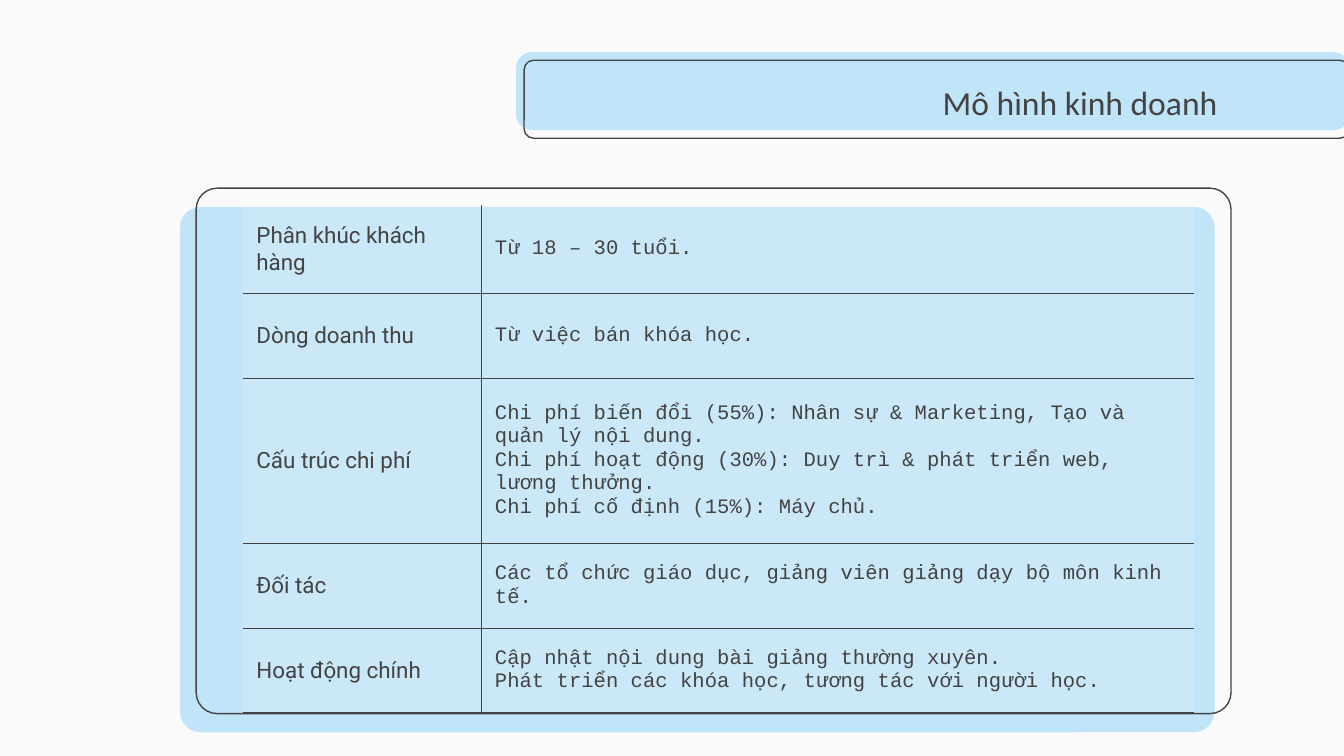
from dataclasses import dataclass
from typing import Any, Optional

from lxml.etree import SubElement
from pptx import Presentation
from pptx.dml.color import RGBColor
from pptx.enum.shapes import MSO_SHAPE
from pptx.enum.text import MSO_ANCHOR, MSO_AUTO_SIZE, PP_ALIGN
from pptx.oxml import parse_xml
from pptx.oxml.ns import nsdecls, qn
from pptx.util import Inches, Pt

WIDTH = Inches(10)
HEIGHT = WIDTH * 9 // 16
PAPER = RGBColor(0xFA, 0xFA, 0xFA)
SKY = RGBColor(0xC1, 0xE5, 0xF8)
INK = RGBColor(0x43, 0x43, 0x43)
LINE_WIDTH = Pt(0.75)
CELL_OPACITY = 18
CELL_FORMAT = {
    "vertical_anchor": MSO_ANCHOR.MIDDLE,
    **dict.fromkeys(("margin_left", "margin_right", "margin_top", "margin_bottom"), Inches(0.1)),
}
TITLE_FORMAT = {**CELL_FORMAT, "word_wrap": True, "auto_size": MSO_AUTO_SIZE.NONE}
TITLE_FONT = {"name": "Calibri", "size": Pt(18), "bold": False}
LABEL_FONT = {"name": "Roboto", "size": Pt(12), "bold": False}
DETAIL_FONT = {"name": "Courier New", "size": Pt(11), "bold": False}


@dataclass(frozen=True)
class Box:
    """A place in percent of the slide's width and height."""
    left: float
    top: float
    width: float
    height: float

    def lengths(self) -> tuple[int, int, int, int]:
        return (across(self.left), down(self.top), across(self.width), down(self.height))


@dataclass(frozen=True)
class Panel:
    box: Box
    corner: float
    fill: Optional[RGBColor] = None


@dataclass(frozen=True)
class Topic:
    label: str
    details: tuple[str, ...]
    height: float = 11.2


TITLE_BOX = Box(56.7, 8.8, 34.9, 9.42)
TABLE_BOX = Box(18.08, 27.1, 70.75, 67.2)
COLUMN_WIDTHS = (17.75, 53)
PANELS = (
    Panel(Box(38.4, 6.9, 62, 10.31), 0.2, SKY),
    Panel(Box(39, 7.97, 61.4, 10.31), 0.12),
    Panel(Box(13.38, 27.36, 77, 69.51), 0.04, SKY),
    Panel(Box(14.6, 24.89, 77, 69.51), 0.04),
)
TOPICS = (
    Topic("Phân khúc khách hàng", ("Từ 18 – 30 tuổi.",), 11.73),
    Topic("Dòng doanh thu", ("Từ việc bán khóa học.",)),
    Topic("Cấu trúc chi phí", (
        "Chi phí biến đổi (55%): Nhân sự & Marketing, Tạo và quản lý nội dung.",
        "Chi phí hoạt động (30%): Duy trì & phát triển web, lương thưởng.",
        "Chi phí cố định (15%): Máy chủ.",
    ), 21.87),
    Topic("Đối tác", ("Các tổ chức giáo dục, giảng viên giảng dạy bộ môn kinh tế.",)),
    Topic("Hoạt động chính", (
        "Cập nhật nội dung bài giảng thường xuyên.\n"
        "Phát triển các khóa học, tương tác với người học.",
    )),
)


def across(percent: float) -> int:
    return round(WIDTH * percent / 100)


def down(percent: float) -> int:
    return round(HEIGHT * percent / 100)


def apply_format(target: Any, values: dict[str, Any]) -> None:
    for name, value in values.items():
        setattr(target, name, value)


def write_paragraphs(frame: Any, texts: tuple[str, ...], font: dict[str, Any],
                     alignment: PP_ALIGN = PP_ALIGN.LEFT) -> None:
    for index, text in enumerate(texts):
        paragraph = frame.add_paragraph() if index else frame.paragraphs[0]
        paragraph.text = text
        paragraph.alignment = alignment
        for run in paragraph.runs:
            apply_format(run.font, font)
            run.font.color.rgb = INK


def draw_panel(slide: Any, panel: Panel) -> None:
    shape = slide.shapes.add_shape(MSO_SHAPE.ROUNDED_RECTANGLE, *panel.box.lengths())
    shape.shadow.inherit = False
    shape.adjustments[0] = panel.corner
    if panel.fill is None:
        shape.fill.background()
        shape.line.color.rgb = INK
        shape.line.width = LINE_WIDTH
    else:
        shape.fill.solid()
        shape.fill.fore_color.rgb = panel.fill
        shape.line.fill.background()


def style_cell(cell: Any, ruled_sides: str) -> None:
    """Give a translucent fill, and rules on the sides named by L, R, T and B."""
    apply_format(cell, CELL_FORMAT)
    cell.fill.solid()
    cell.fill.fore_color.rgb = PAPER
    properties = cell._tc.get_or_add_tcPr()
    color = properties.find(".//" + qn("a:srgbClr"))
    SubElement(color, qn("a:alpha"), val=str(CELL_OPACITY * 1000))
    for index, side in enumerate("LRTB"):
        paint = (f'<a:solidFill><a:srgbClr val="{INK}"/></a:solidFill>'
                 if side in ruled_sides else "<a:noFill/>")
        properties.insert(index, parse_xml(
            f'<a:ln{side} {nsdecls("a")} w="{LINE_WIDTH}">{paint}</a:ln{side}>'))


def draw_table(slide: Any, topics: tuple[Topic, ...]) -> None:
    frame = slide.shapes.add_table(len(topics), len(COLUMN_WIDTHS), *TABLE_BOX.lengths())
    table = frame.table
    apply_format(table, {"first_row": False, "horz_banding": False})
    for column, width in zip(table.columns, COLUMN_WIDTHS):
        column.width = across(width)
    for index, (row, topic) in enumerate(zip(table.rows, topics)):
        row.height = down(topic.height)
        horizontal = "TB" if index else "B"
        label, detail = row.cells
        write_paragraphs(label.text_frame, (topic.label,), LABEL_FONT)
        write_paragraphs(detail.text_frame, topic.details, DETAIL_FONT)
        style_cell(label, "R" + horizontal)
        style_cell(detail, "L" + horizontal)


def place_title(slide: Any, text: str) -> None:
    """Fill the title placeholder and bring it in front of the panels."""
    title = slide.shapes.title
    title.left, title.top, title.width, title.height = TITLE_BOX.lengths()
    apply_format(title.text_frame, TITLE_FORMAT)
    write_paragraphs(title.text_frame, (text,), TITLE_FONT, PP_ALIGN.RIGHT)
    slide.shapes._spTree.append(title._element)


def main() -> None:
    presentation = Presentation()
    presentation.slide_width, presentation.slide_height = WIDTH, HEIGHT
    slide = presentation.slides.add_slide(presentation.slide_layouts.get_by_name("Title Only"))
    slide.background.fill.solid()
    slide.background.fill.fore_color.rgb = PAPER
    for panel in PANELS:
        draw_panel(slide, panel)
    draw_table(slide, TOPICS)
    place_title(slide, "Mô hình kinh doanh")
    presentation.save("out.pptx")


if __name__ == "__main__":
    main()
